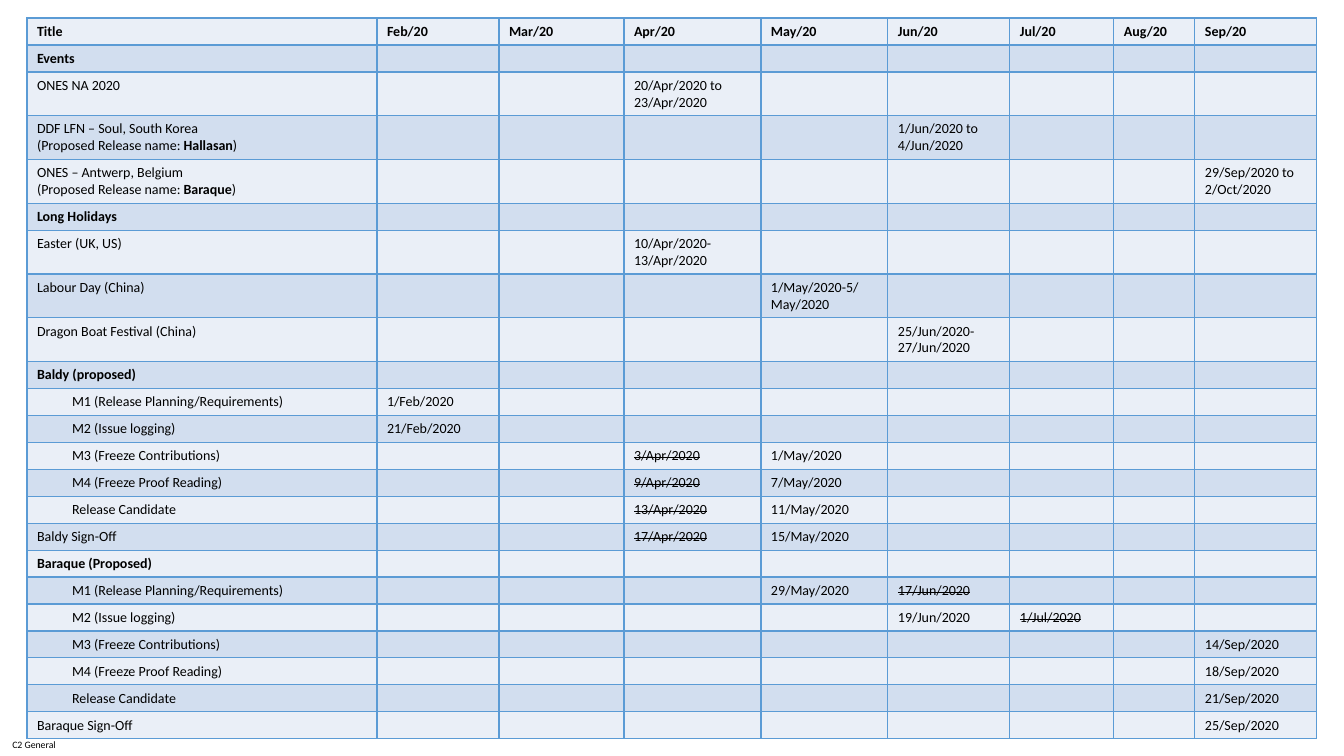
import pptx
import pptx.dml.color
import pptx.enum.text
import pptx.oxml
import pptx.oxml.ns
import pptx.util
from dataclasses import dataclass

PX = 914400 / 100.8


@dataclass(frozen=True)
class Theme:
    font: str = "Calibri"
    text: str = "000000"
    bands: tuple = ("EAEFF7", "D2DEEF")
    border: str = "5B9BD5"
    border_pt: int = 1
    table_pt: int = 10
    label_pt: int = 7


THEME = Theme()
COLUMNS = [350, 122, 125, 137, 127, 122, 104, 81, 122]
SHORT_ROW, TALL_ROW = 24, 39
ONE_LINE = 11
INDENT = 35
MONTHS = ["Feb", "Mar", "Apr", "May", "Jun", "Jul", "Aug", "Sep"]
M1, M2, M3, M4, RC = [
    ">M1 (Release Planning/Requirements)",
    ">M2 (Issue logging)",
    ">M3 (Freeze Contributions)",
    ">M4 (Freeze Proof Reading)",
    ">Release Candidate",
]

SCHEDULE = [
    ("**Title**", {m: f"**{m}/20**" for m in MONTHS}),
    ("**Events**", {}),
    ("ONES NA 2020", {"Apr": "20/Apr/2020 to 23/Apr/2020"}),
    ("DDF LFN – Soul, South Korea\n(Proposed Release name: **Hallasan**)",
     {"Jun": "1/Jun/2020 to 4/Jun/2020"}),
    ("ONES – Antwerp, Belgium\n(Proposed Release name: **Baraque**)",
     {"Sep": "29/Sep/2020 to 2/Oct/2020"}),
    ("**Long Holidays**", {}),
    ("Easter (UK, US)", {"Apr": "10/Apr/2020-\n13/Apr/2020"}),
    ("Labour Day (China)", {"May": "1/May/2020-5/May/2020"}),
    ("Dragon Boat Festival (China)", {"Jun": "25/Jun/2020- 27/Jun/2020"}),
    ("**Baldy (proposed)**", {}),
    (M1, {"Feb": "1/Feb/2020"}),
    (M2, {"Feb": "21/Feb/2020"}),
    (M3, {"Apr": "~3/Apr/2020", "May": "1/May/2020"}),
    (M4, {"Apr": "~9/Apr/2020", "May": "7/May/2020"}),
    (RC, {"Apr": "~13/Apr/2020", "May": "11/May/2020"}),
    ("Baldy Sign-Off", {"Apr": "~17/Apr/2020", "May": "15/May/2020"}),
    ("**Baraque (Proposed)**", {}),
    (M1, {"May": "29/May/2020", "Jun": "~17/Jun/2020"}),
    (M2, {"Jun": "19/Jun/2020", "Jul": "~1/Jul/2020"}),
    (M3, {"Sep": "14/Sep/2020"}),
    (M4, {"Sep": "18/Sep/2020"}),
    (RC, {"Sep": "21/Sep/2020"}),
    ("Baraque Sign-Off", {"Sep": "25/Sep/2020"}),
]


def px(n):
    return pptx.util.Emu(round(n * PX))


def rgb(code):
    return pptx.dml.color.RGBColor.from_string(code)


def add_run(p, text, size, bold=False, strike=False):
    r = p.add_run()
    r.text = text
    r.font.name = THEME.font
    r.font.size = pptx.util.Pt(size)
    r.font.bold = bold
    r.font.color.rgb = rgb(THEME.text)
    if strike:
        r.font._element.set("strike", "sngStrike")


def write_line(p, line):
    if line.startswith(">"):
        p._p.get_or_add_pPr().set("marL", str(px(INDENT)))
    strike = line.startswith("~")
    for i, part in enumerate(line.lstrip(">~").split("**")):
        if part:
            add_run(p, part, THEME.table_pt, i % 2 == 1, strike)


def set_borders(cell):
    ns = pptx.oxml.ns.nsdecls("a")
    width = pptx.util.Pt(THEME.border_pt)
    for side in ("lnL", "lnR", "lnT", "lnB"):
        cell._tc.get_or_add_tcPr().append(pptx.oxml.parse_xml(
            f'<a:{side} {ns} w="{width}"><a:solidFill>'
            f'<a:srgbClr val="{THEME.border}"/></a:solidFill></a:{side}>'))


def fill_cell(cell, text, color):
    set_borders(cell)
    cell.fill.solid()
    cell.fill.fore_color.rgb = rgb(color)
    tf = cell.text_frame
    if not text:
        ns = pptx.oxml.ns.nsdecls("a")
        tf.paragraphs[0]._p.append(pptx.oxml.parse_xml(
            f'<a:endParaRPr {ns} sz="{THEME.table_pt * 100}"/>'))
        return
    for i, line in enumerate(text.split("\n")):
        write_line(tf.add_paragraph() if i else tf.paragraphs[0], line)


def row_height(dates):
    wraps = any(len(d.strip("~*")) > ONE_LINE for d in dates.values())
    return TALL_ROW if wraps else SHORT_ROW


def add_schedule(s, x, y):
    heights = [row_height(dates) for _, dates in SCHEDULE]
    table = s.shapes.add_table(len(SCHEDULE), len(COLUMNS), px(x), px(y),
                               px(sum(COLUMNS)), px(sum(heights))).table
    table.first_row = table.horz_banding = False
    for col, width in zip(table.columns, COLUMNS):
        col.width = px(width)
    for i, (title, dates) in enumerate(SCHEDULE):
        table.rows[i].height = px(heights[i])
        texts = [title] + [dates.get(m, "") for m in MONTHS]
        for cell, text in zip(table.rows[i].cells, texts):
            fill_cell(cell, text, THEME.bands[i % 2])


def add_label(s, text, x, y, w, h):
    tf = s.shapes.add_textbox(px(x), px(y), px(w), px(h)).text_frame
    tf.word_wrap = True
    tf.margin_left = tf.margin_right = tf.margin_top = tf.margin_bottom = 0
    tf.vertical_anchor = pptx.enum.text.MSO_ANCHOR.MIDDLE
    p = tf.paragraphs[0]
    p.alignment = pptx.enum.text.PP_ALIGN.CENTER
    add_run(p, text, THEME.label_pt)


def main():
    prs = pptx.Presentation()
    prs.slide_width, prs.slide_height = px(1344), px(756)
    s = prs.slides.add_slide(prs.slide_layouts[6])
    add_label(s, "C2 General", 0, 733, 68, 23)
    add_schedule(s, 27, 18)
    prs.save("out.pptx")


if __name__ == "__main__":
    main()
